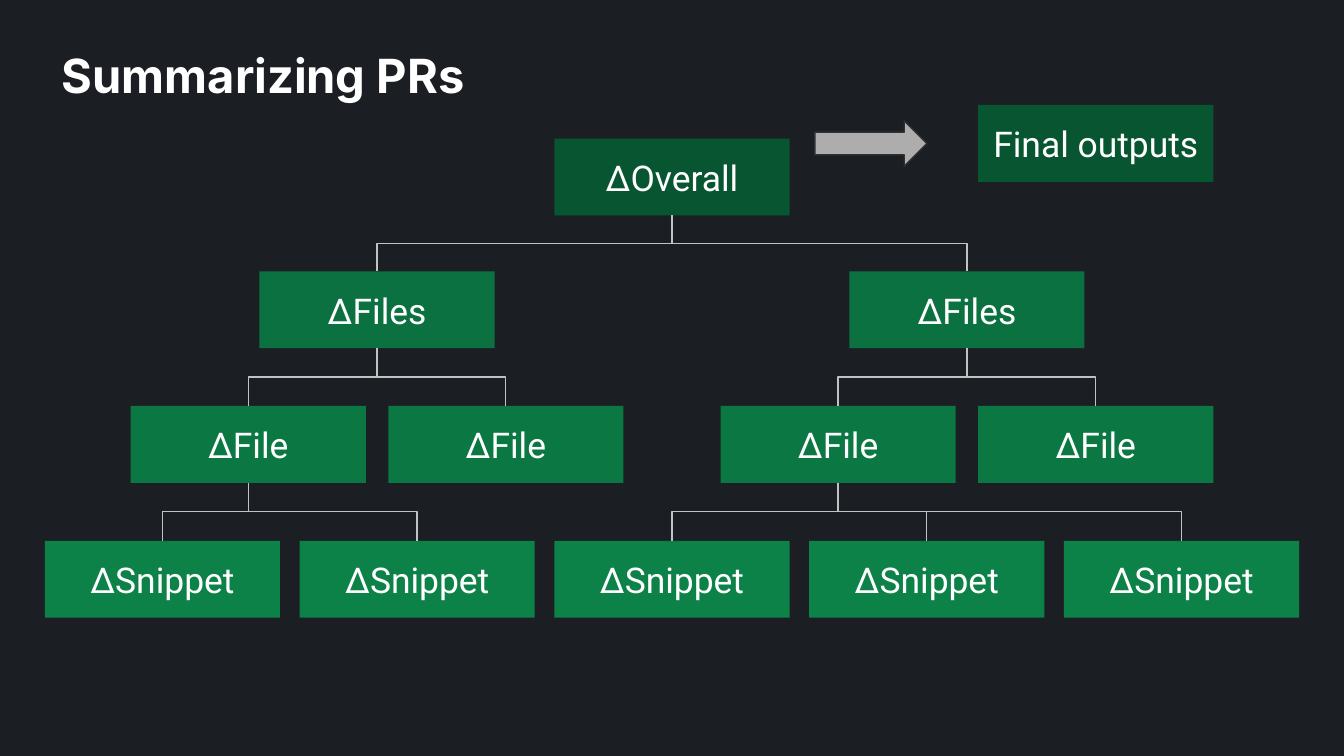
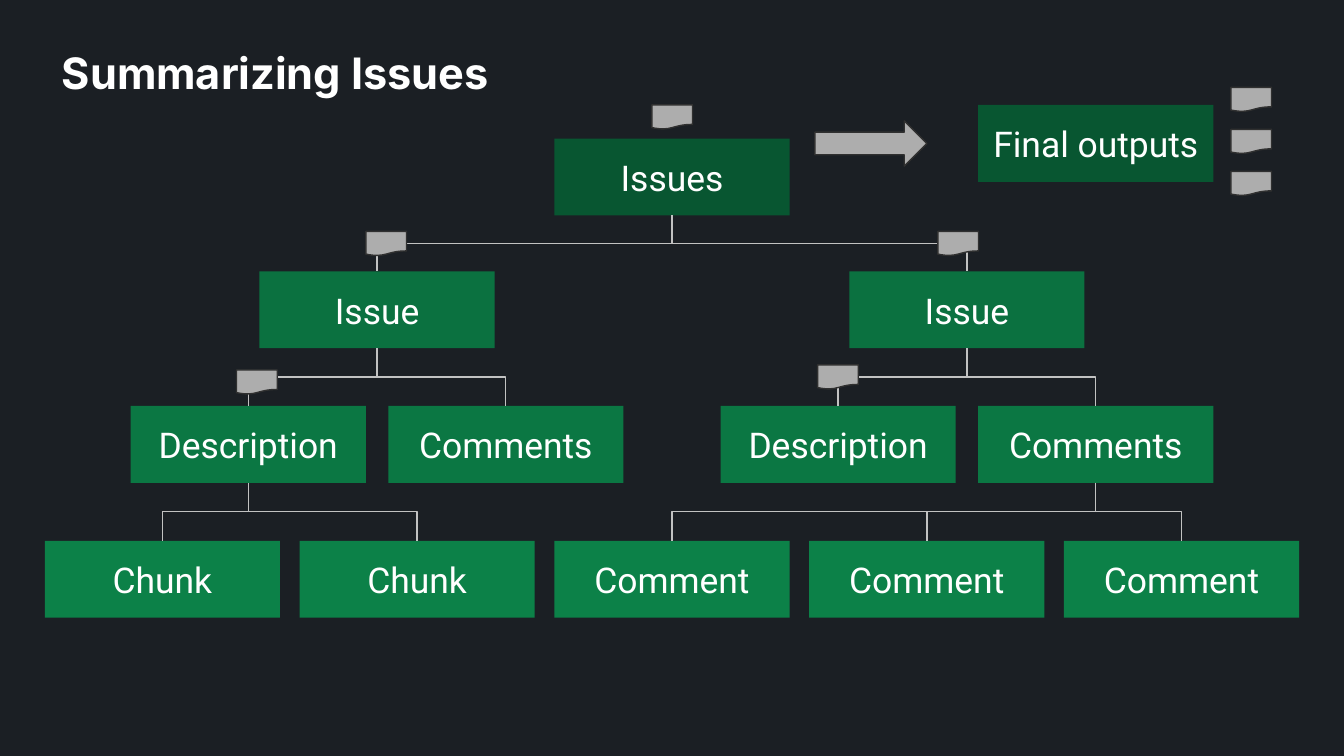
from pptx import Presentation
from pptx.dml.color import RGBColor
from pptx.enum.shapes import MSO_CONNECTOR, MSO_SHAPE
from pptx.enum.text import MSO_ANCHOR, MSO_AUTO_SIZE, PP_ALIGN
from pptx.oxml.ns import qn
from pptx.util import Pt
from lxml import etree

RECT = MSO_SHAPE.RECTANGLE
ARROW = MSO_SHAPE.RIGHT_ARROW
DOC = MSO_SHAPE.FLOWCHART_DOCUMENT
ELBOW = MSO_CONNECTOR.ELBOW
LEFT, CENTER = PP_ALIGN.LEFT, PP_ALIGN.CENTER
TOP, MIDDLE = MSO_ANCHOR.TOP, MSO_ANCHOR.MIDDLE
NO_FIT = MSO_AUTO_SIZE.NONE


class Theme:
    back = RGBColor.from_string("1B1F24")
    text = RGBColor.from_string("FFFFFF")
    link = RGBColor.from_string("C2C2C2")
    icon = RGBColor.from_string("ADADAD")
    edge = RGBColor.from_string("303030")
    greens = [RGBColor.from_string(c) for c in ("085631", "0B7140", "0B7743", "0C8148")]
    head_font, box_font = "Inter", "Roboto"
    box_size = Pt(19)
    thin = Pt(0.75)
    inset = Pt(7.2)


# Tree grid: box size, row tops and the box centres in each row
BOX_W, BOX_H = 126, 41.2
TOPS = [74.2, 145.4, 217.5, 289.7]
MID = 360
BRANCH = [MID - 158, MID + 158]
ROWS = [
    [MID],
    BRANCH,
    [x + side for x in BRANCH for side in (-69, 69)],
    [MID + 136.5 * k for k in range(-2, 3)],
]
OUT_X, OUT_Y = 524, 56.2

# Parent index in the row above, for each box
UPPER = [[0, 0], [0, 0, 1, 1]]
SLIDES = [
    {
        "title": "Summarizing PRs",
        "size": 25.2,
        "rows": [["ΔOverall"], ["ΔFiles"] * 2, ["ΔFile"] * 4, ["ΔSnippet"] * 5],
        "links": UPPER + [[0, 0, 2, 2, 2]],
        "docs": [],
    },
    {
        "title": "Summarizing Issues",
        "size": 23.2,
        "rows": [["Issues"], ["Issue"] * 2, ["Description", "Comments"] * 2,
                 ["Chunk"] * 2 + ["Comment"] * 3],
        "links": UPPER + [[0, 0, 3, 3, 3]],
        "docs": [(126.7, 198.2), (196, 124), (349.2, 56.2), (438, 195.5), (502.4, 124)]
                + [(659.4, 46.8 + 22.5 * i) for i in range(3)],
    },
]


def add_form(slide, kind, x, y, w, h, fill, label=None):
    """Add a green box when a label is given, else a grey outlined icon."""
    form = slide.shapes.add_shape(kind, Pt(x), Pt(y), Pt(w), Pt(h))
    form.shadow.inherit = False
    form.fill.solid()
    form.fill.fore_color.rgb = fill
    if label is None:
        form.line.color.rgb = Theme.edge
        form.line.width = Theme.thin
    else:
        form.line.fill.background()
        add_text(form, label, Theme.box_font, Theme.box_size, CENTER, MIDDLE)
    return form


def add_text(form, words, font, size, align, anchor, bold=False):
    frame = form.text_frame
    frame.word_wrap = True
    frame.auto_size = NO_FIT
    frame.vertical_anchor = anchor
    frame.margin_left = frame.margin_right = Theme.inset
    frame.margin_top = frame.margin_bottom = Theme.inset
    para = frame.paragraphs[0]
    para.alignment = align
    run = para.add_run()
    run.text = words
    run.font.name = font
    run.font.size = size
    run.font.bold = bold
    run.font.color.rgb = Theme.text


deck = Presentation()
deck.slide_width, deck.slide_height = Pt(720), Pt(405)
back = deck.slide_master.background.fill
back.solid()
back.fore_color.rgb = Theme.back

for page in SLIDES:
    slide = deck.slides.add_slide(deck.slide_layouts[5])

    # Title
    title = slide.shapes.title
    title.left, title.top, title.width, title.height = Pt(26), Pt(17.5), Pt(624), Pt(45)
    add_text(title, page["title"], Theme.head_font, Pt(page["size"]), LEFT, TOP, True)

    # Tree boxes
    tree = []
    for xs, y, fill, words in zip(ROWS, TOPS, Theme.greens, page["rows"]):
        tree.append([add_form(slide, RECT, x - BOX_W / 2, y, BOX_W, BOX_H, fill, word)
                     for x, word in zip(xs, words)])

    # Links: an elbow turned by 90 degrees leaves the parent downwards
    for upper, lower, links in zip(tree, tree[1:], page["links"]):
        for child, index in zip(lower, links):
            owner = upper[index]
            link = slide.shapes.add_connector(ELBOW, 0, 0, 0, 0)
            link.begin_connect(owner, 2)
            link.end_connect(child, 0)
            wide, high = link.width, link.height
            link.left += (wide - high) // 2
            link.top += (high - wide) // 2
            link.width, link.height = high, wide
            props = link._element.spPr
            frame = props.find(qn("a:xfrm"))
            frame.set("rot", "5400000")
            frame.set("flipH", "0")
            frame.set("flipV", "1" if child.left > owner.left else "0")
            link.line.color.rgb = Theme.link
            link.line.width = Theme.thin
            etree.SubElement(props, qn("a:effectLst"))

    # Final outputs
    add_form(slide, ARROW, 436.5, 64.8, 60, 24.2, Theme.icon)
    add_form(slide, RECT, OUT_X, OUT_Y, BOX_W, BOX_H, Theme.greens[0], "Final outputs")

    # Document icons
    for x, y in page["docs"]:
        add_form(slide, DOC, x, y, 21.8, 13, Theme.icon)

deck.save("out.pptx")
